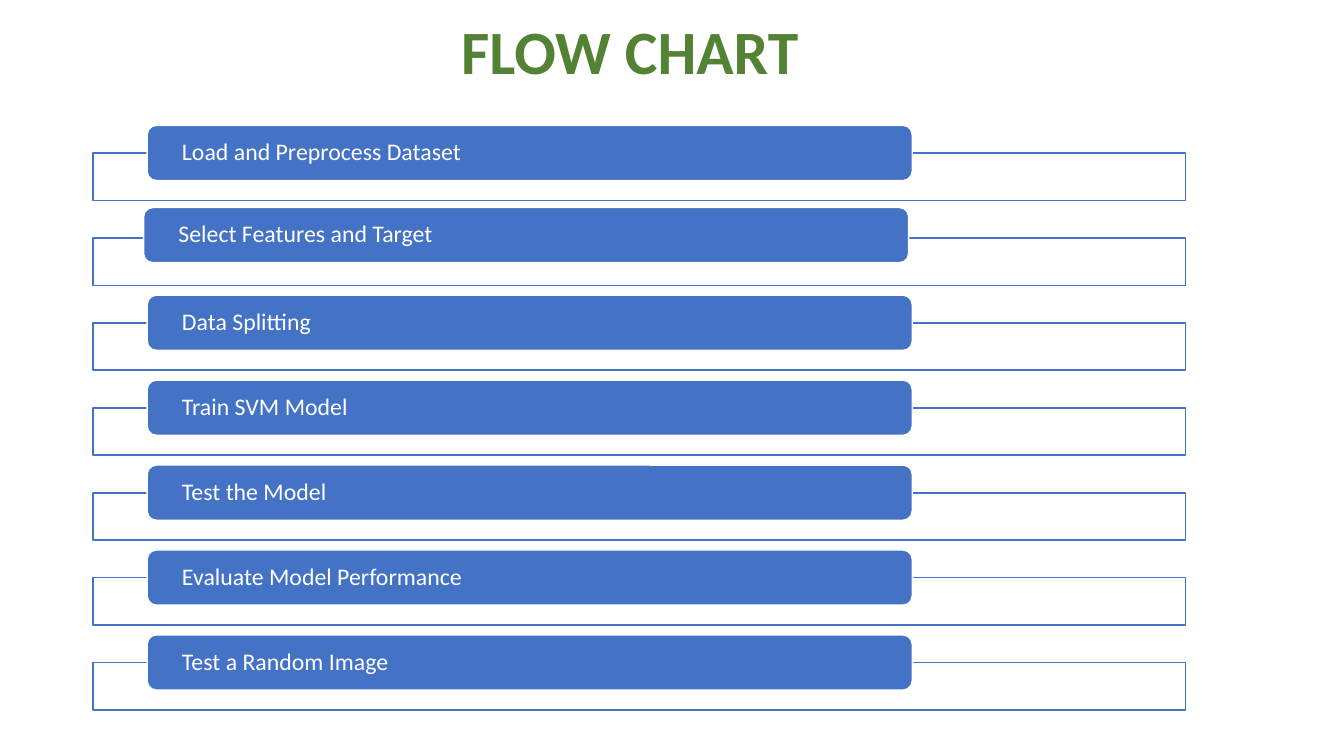
from lxml.etree import SubElement
from pptx import Presentation
from pptx.dml.color import RGBColor
from pptx.enum.shapes import MSO_SHAPE
from pptx.enum.text import MSO_ANCHOR, PP_ALIGN
from pptx.oxml.ns import qn
from pptx.util import Cm, Pt

COLORS = {"title": "548235", "blue": "4472C4", "white": "FFFFFF"}
STEPS = [
    "Load and Preprocess Dataset",
    "Select Features and Target",
    "Data Splitting",
    "Train SVM Model",
    "Test the Model",
    "Evaluate Model Performance",
    "Test a Random Image",
]
STEP_NUDGES = {1: (-0.09, -0.07)}
FIRST_FRAME_TOP = 3.86
STEP_PITCH = 2.14


class FlowSlide:
    font = "Calibri"
    line_width = Pt(1)

    def __init__(self, slide):
        self.slide = slide

    def color(self, name):
        return RGBColor.from_string(COLORS[name])

    def label(self, shape, text, size, color, align, bold=False):
        text_frame = shape.text_frame
        text_frame.text = text
        text_frame.word_wrap = True
        text_frame.vertical_anchor = MSO_ANCHOR.MIDDLE
        paragraph = text_frame.paragraphs[0]
        paragraph.alignment = align
        paragraph.line_spacing = 0.9
        font = paragraph.runs[0].font
        font.name = self.font
        font.size = Pt(size)
        font.bold = bold
        font.color.rgb = self.color(color)

    def title(self, text, left, top, width, height):
        box = self.slide.shapes.add_textbox(Cm(left), Cm(top), Cm(width), Cm(height))
        self.label(box, text, 44, "title", PP_ALIGN.CENTER, bold=True)

    def panel(self, kind, left, top, width, height, fill, line):
        shape = self.slide.shapes.add_shape(kind, Cm(left), Cm(top), Cm(width), Cm(height))
        shape.shadow.inherit = False
        shape.fill.solid()
        shape.fill.fore_color.rgb = self.color(fill)
        shape.line.color.rgb = self.color(line)
        shape.line.width = self.line_width
        return shape

    def frame(self, top):
        shape = self.panel(MSO_SHAPE.RECTANGLE, 2.34, top, 27.53, 1.19, "white", "blue")
        fill_color = shape.element.spPr.find(qn("a:solidFill"))[0]
        SubElement(fill_color, qn("a:alpha"), val="90000")

    def bar(self, text, left, top):
        shape = self.panel(MSO_SHAPE.ROUNDED_RECTANGLE, left, top, 19.28, 1.39, "blue", "white")
        text_frame = shape.text_frame
        text_frame.margin_left = text_frame.margin_right = Cm(0.81)
        text_frame.margin_top = text_frame.margin_bottom = 0
        self.label(shape, text, 17, "white", PP_ALIGN.LEFT)


def main():
    presentation = Presentation()
    presentation.slide_width = Cm(33.87)
    presentation.slide_height = Cm(19.05)
    slide = presentation.slides.add_slide(presentation.slide_layouts[6])
    flow = FlowSlide(slide)
    flow.title("FLOW CHART", 1.27, -0.61, 29.21, 3.99)
    for index, step in enumerate(STEPS):
        frame_top = FIRST_FRAME_TOP + index * STEP_PITCH
        shift_x, shift_y = STEP_NUDGES.get(index, (0, 0))
        flow.frame(frame_top)
        flow.bar(step, 3.71 + shift_x, frame_top - 0.7 + shift_y)
    presentation.save("out.pptx")


if __name__ == "__main__":
    main()
